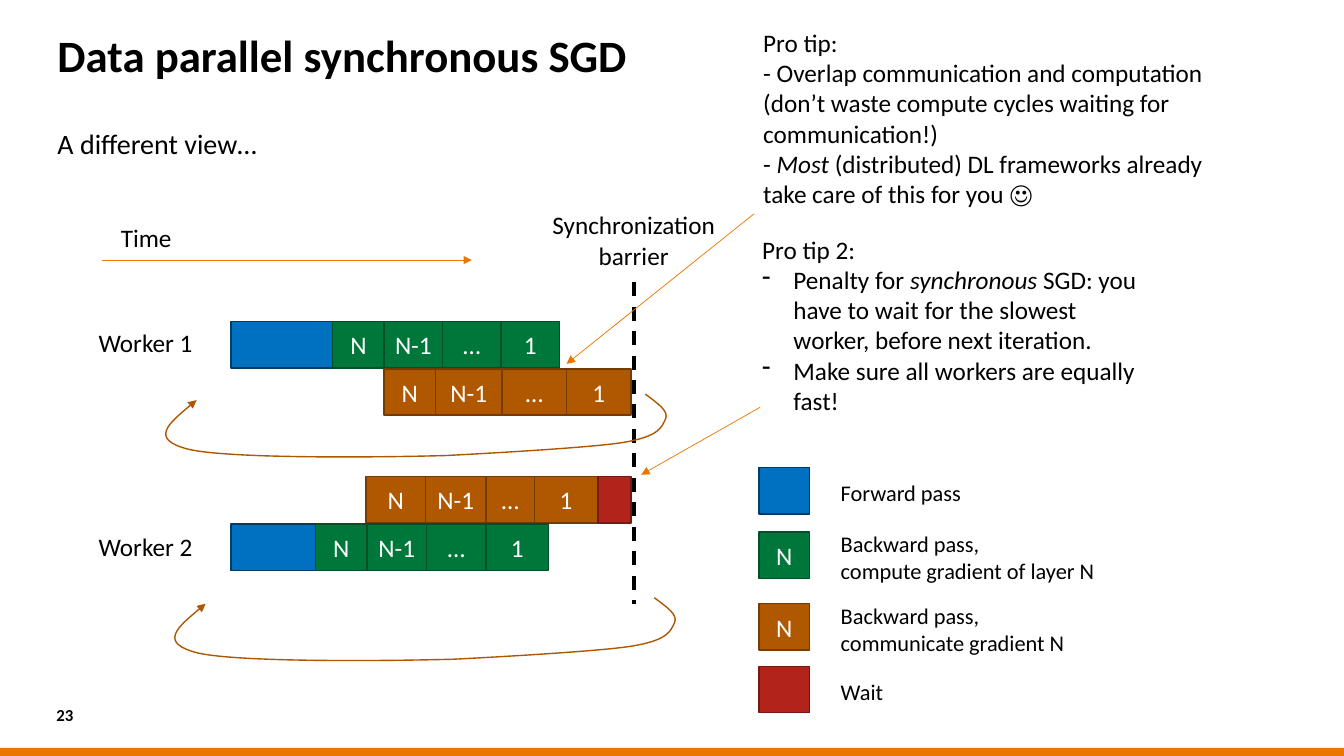
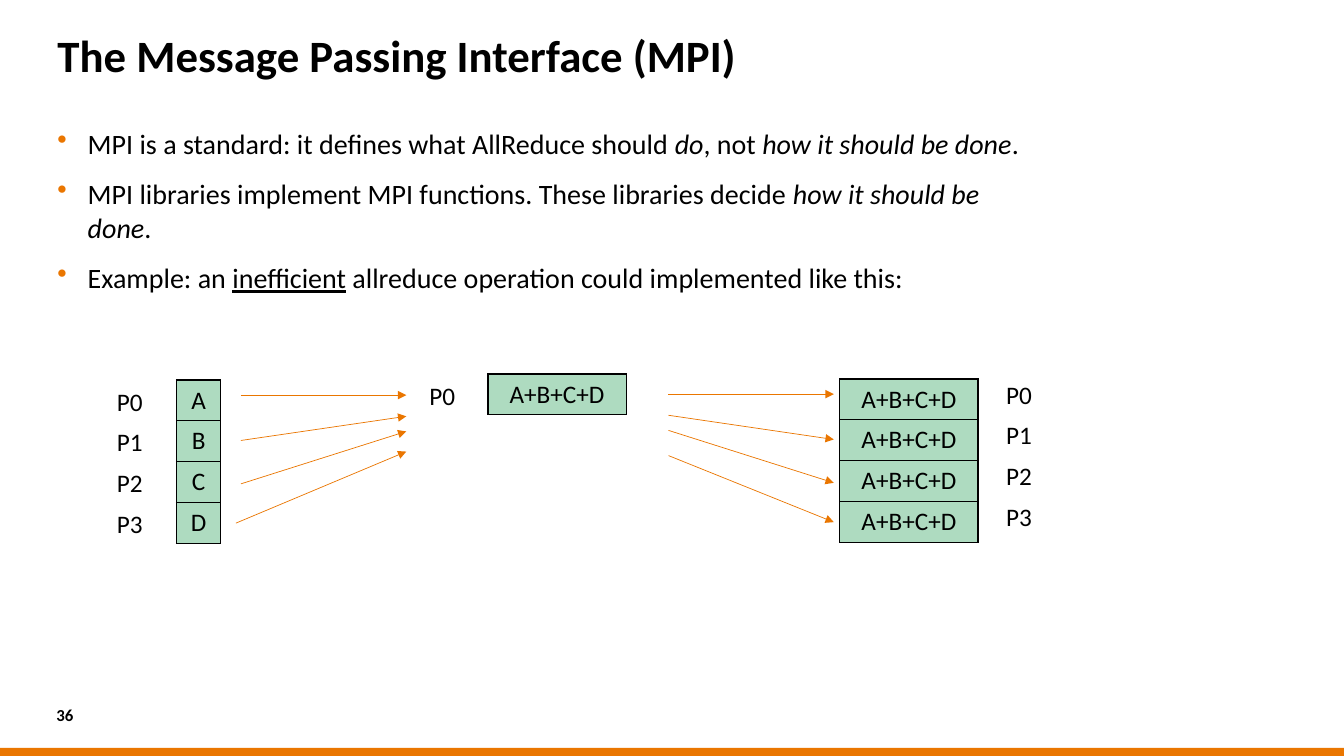
from itertools import accumulate

from lxml.etree import SubElement
from pptx import Presentation
from pptx.dml.color import RGBColor
from pptx.enum.dml import MSO_LINE_DASH_STYLE as Dash
from pptx.enum.shapes import MSO_CONNECTOR as Connector, MSO_SHAPE as Shape
from pptx.enum.text import MSO_ANCHOR as Anchor, MSO_AUTO_SIZE as AutoSize, PP_ALIGN as Align
from pptx.oxml.ns import qn
from pptx.util import Inches, Pt

FONT = "Calibri"
BLACK, WHITE, ORANGE = "000000", "FFFFFF", "EA7600"
CURVE_COLOR, CELL_COLOR = "AD5700", "AEDBC0"
FORWARD = ("0070C0", "003B64")
COMPUTE = ("00773A", "005027")
COMMUNICATE = ("B05800", "753B00")
WAIT = ("B2241B", "771812")
BLOCK_HEIGHT = 0.46
ROW_HEIGHT = 0.405
ITALIC, UNDERLINE = {"italic": True}, {"underline": True}
BODY = {"size": 20, "space_before": Pt(6), "space_after": Pt(6)}
BODY_BOX = (0.57, 1.25, 9.81, 5.15)
NO_INSETS = (0, 0, 0, 0)
LAYERS = ["N", "N-1", "…", "1"]
RETURN_CURVE = [
    (6.4, 3.91), (6.52, 4), (6.64, 4.08), (6.6, 4.16),
    (6.56, 4.24), (6.54, 4.33), (6.18, 4.39),
    (5.82, 4.45), (4.42, 4.52), (4.42, 4.52),
    (3.7, 4.54), (2.29, 4.55), (1.88, 4.46),
    (1.47, 4.36), (1.71, 4.17), (1.95, 3.97),
]


def rgb(color):
    return RGBColor.from_string(color)


def set_format(target, values):
    for name, value in values.items():
        setattr(target, name, value)


def set_line(line, color, width):
    line.color.rgb = rgb(color)
    line.width = Pt(width)


def set_arrowhead(shape):
    SubElement(shape.get_or_add_ln(), qn("a:tailEnd"), type="triangle")


def set_insets(frame, insets):
    names = ("margin_left", "margin_top", "margin_right", "margin_bottom")
    set_format(frame, dict(zip(names, map(Inches, insets))))


def set_bullet(paragraph, character, indent, color):
    properties = paragraph._p.get_or_add_pPr()
    properties.set("marL", str(Inches(indent)))
    properties.set("indent", str(-Inches(indent)))
    SubElement(SubElement(properties, qn("a:buClr")), qn("a:srgbClr"), val=color)
    SubElement(properties, qn("a:buChar"), char=character)


def write_text(frame, paragraphs, size=18, color=BLACK, bold=False, bullet=None, **layout):
    for index, pieces in enumerate(paragraphs):
        paragraph = frame.paragraphs[0] if index == 0 else frame.add_paragraph()
        set_format(paragraph, layout)
        bulleted = isinstance(pieces, list)
        if bulleted and bullet:
            set_bullet(paragraph, *bullet)
        for piece in pieces if bulleted else [pieces]:
            text, style = piece if isinstance(piece, tuple) else (piece, {})
            run = paragraph.add_run()
            run.text = text
            set_format(run.font, {"name": FONT, "size": Pt(size), "bold": bold, **style})
            run.font.color.rgb = rgb(color)


def add_text(slide, box, paragraphs, insets=(0.1, 0.05, 0.1, 0.05), wrap=True,
             anchor=Anchor.TOP, **text_format):
    frame = slide.shapes.add_textbox(*map(Inches, box)).text_frame
    set_format(frame, {"word_wrap": wrap, "vertical_anchor": anchor,
                       "auto_size": AutoSize.NONE})
    set_insets(frame, insets)
    write_text(frame, paragraphs, **text_format)


def add_label(slide, box, *lines, **text_format):
    add_text(slide, box, lines, wrap=False, **text_format)


def add_block(slide, box, colors, text=""):
    fill, outline = colors
    block = slide.shapes.add_shape(Shape.RECTANGLE, *map(Inches, box))
    block.shadow.inherit = False
    block.fill.solid()
    block.fill.fore_color.rgb = rgb(fill)
    if outline:
        set_line(block.line, outline, 1)
    else:
        block.line.fill.background()
    if text:
        frame = block.text_frame
        set_format(frame, {"word_wrap": False, "vertical_anchor": Anchor.MIDDLE})
        set_insets(frame, NO_INSETS)
        write_text(frame, [text], color=WHITE, alignment=Align.CENTER)


def add_line(slide, start, end, color=ORANGE, width=0.5):
    connector = slide.shapes.add_connector(Connector.STRAIGHT, *map(Inches, start + end))
    SubElement(connector._element.spPr, qn("a:effectLst"))
    set_line(connector.line, color, width)
    return connector


def add_arrow(slide, start, end):
    set_arrowhead(add_line(slide, start, end))


def add_return_curve(slide, across=0, down=0):
    points = [(Inches(x + across), Inches(y + down)) for x, y in RETURN_CURVE]
    builder = slide.shapes.build_freeform(*points[0])
    builder.add_line_segments(points[1:], close=False)
    curve = builder.convert_to_shape()
    curve.shadow.inherit = False
    curve.fill.background()
    set_line(curve.line, CURVE_COLOR, 1)
    set_arrowhead(curve)
    outline = next(curve._element.iter(qn("a:path")))
    segments = outline.findall(qn("a:lnTo"))
    for first in range(0, len(segments), 3):
        bezier = SubElement(outline, qn("a:cubicBezTo"))
        for segment in segments[first:first + 3]:
            bezier.append(segment[0])
            outline.remove(segment)


def add_timeline(slide, left, top, blocks):
    edges = accumulate((width for width, _, _ in blocks), initial=left)
    for edge, (width, colors, text) in zip(edges, blocks):
        add_block(slide, (edge, top, width, BLOCK_HEIGHT), colors, text)


def layer_blocks(widths, colors):
    return [(width, colors, text) for width, text in zip(widths, LAYERS)]


def add_legend_entry(slide, top, colors, text, lines):
    add_block(slide, (7.53, top, 0.5, BLOCK_HEIGHT), colors, text)
    add_label(slide, (8.24, top - 0.07, 2.75, 0.64), *lines, size=16, anchor=Anchor.MIDDLE)


def set_cell_borders(cell):
    properties = cell._tc.get_or_add_tcPr()
    for position, side in enumerate(("a:lnL", "a:lnR", "a:lnT", "a:lnB")):
        border = properties.makeelement(qn(side), {"w": str(Pt(1))})
        SubElement(SubElement(border, qn("a:solidFill")), qn("a:srgbClr"), val=BLACK)
        properties.insert(position, border)


def add_buffer_table(slide, left, top, width, values):
    frame = slide.shapes.add_table(len(values), 1, Inches(left), Inches(top),
                                   Inches(width), Inches(ROW_HEIGHT * len(values)))
    table = frame.table
    set_format(table, {"first_row": False, "horz_banding": False})
    for row, value in enumerate(values):
        table.rows[row].height = Inches(ROW_HEIGHT)
        cell = table.cell(row, 0)
        cell.fill.solid()
        cell.fill.fore_color.rgb = rgb(CELL_COLOR)
        set_insets(cell, (0, 0.05, 0, 0))
        set_cell_borders(cell)
        write_text(cell.text_frame, [value], alignment=Align.CENTER)


def add_process_labels(slide, left, top, count):
    for index in range(count):
        add_label(slide, (left, top + index * ROW_HEIGHT, 0.51, 0.4), f"P{index}")


def add_base_slide(presentation, title, number):
    slide = presentation.slides.add_slide(presentation.slide_layouts[6])
    add_block(slide, (0, 7.42, 13.33, 0.08), (ORANGE, None))
    add_text(slide, (0.57, 0.3, 12.19, 0.66), [title], insets=(0, 0.08, 0, 0),
             size=32, bold=True, line_spacing=0.8)
    add_text(slide, (0.56, 6.97, 0.43, 0.24), [number], insets=NO_INSETS,
             anchor=Anchor.MIDDLE, size=12, bold=True)
    return slide


def build_sgd_slide(presentation):
    slide = add_base_slide(presentation, "Data parallel synchronous SGD", "23")
    add_text(slide, BODY_BOX, ["A different view…"], insets=NO_INSETS, **BODY)

    add_label(slide, (1.1, 2.16, 0.71, 0.4), "Time")
    add_arrow(slide, (1.01, 2.58), (4.68, 2.58))
    add_label(slide, (5.37, 2.03, 1.83, 0.71), "Synchronization", "barrier",
              alignment=Align.CENTER)
    barrier = add_line(slide, (6.29, 2.8), (6.29, 5.99), BLACK, 2.5)
    barrier.line.dash_style = Dash.DASH

    add_label(slide, (0.88, 3.2, 1.14, 0.4), "Worker 1")
    add_return_curve(slide)
    add_timeline(slide, 2.29, 3.19, [(1.01, FORWARD, "")]
                 + layer_blocks([0.51, 0.58, 0.58, 0.58], COMPUTE))
    add_timeline(slide, 3.81, 3.66, layer_blocks([0.51, 0.66, 0.64, 0.64], COMMUNICATE))

    add_label(slide, (0.88, 5.22, 1.14, 0.4), "Worker 2")
    add_return_curve(slide, 0.09, 2.02)
    add_timeline(slide, 3.63, 4.73, layer_blocks([0.59, 0.6, 0.48, 0.63], COMMUNICATE)
                 + [(0.33, WAIT, "")])
    add_timeline(slide, 2.29, 5.2, [(0.84, FORWARD, "")]
                 + layer_blocks([0.51, 0.59, 0.59, 0.62], COMPUTE))

    for entry in [
        (4.64, FORWARD, "", ["Forward pass"]),
        (5.28, COMPUTE, "N", ["Backward pass,", "compute gradient of layer N"]),
        (5.99, COMMUNICATE, "N", ["Backward pass,", "communicate gradient N"]),
        (6.61, WAIT, "", ["Wait"]),
    ]:
        add_legend_entry(slide, *entry)

    add_text(slide, (7.57, 0.27, 4.84, 1.82), [
        "Pro tip:",
        "- Overlap communication and computation (don’t waste compute cycles "
        "waiting for communication!)",
        ["- ", ("Most ", ITALIC),
         "(distributed) DL frameworks already take care of this for you ☺"],
    ], insets=NO_INSETS)
    add_arrow(slide, (7.48, 2.12), (5.62, 3.61))
    add_text(slide, (7.56, 2.32, 3.91, 1.82), [
        "Pro tip 2:",
        ["Penalty for ", ("synchronous", ITALIC),
         " SGD: you have to wait for the slowest worker, before next iteration."],
        ["Make sure all workers are equally fast!"],
    ], insets=NO_INSETS, bullet=("-", 0.31, BLACK))
    add_arrow(slide, (7.54, 4.04), (6.36, 4.71))


def build_mpi_slide(presentation):
    slide = add_base_slide(presentation, "The Message Passing Interface (MPI)", "36")
    add_text(slide, BODY_BOX, [
        ["MPI is a standard: it defines what AllReduce should ", ("do", ITALIC), ", not ",
         ("how it should be done", ITALIC), "."],
        ["MPI libraries implement MPI functions. These libraries decide ",
         ("how it should be done", ITALIC), "."],
        ["Example: an ", ("inefficient", UNDERLINE),
         " allreduce operation could implemented like this:"],
    ], insets=NO_INSETS, bullet=("•", 0.3, ORANGE), **BODY)

    total = "A+B+C+D"
    add_process_labels(slide, 1.06, 3.78, 4)
    add_buffer_table(slide, 1.75, 3.77, 0.44, list("ABCD"))
    add_process_labels(slide, 4.16, 3.72, 1)
    add_buffer_table(slide, 4.84, 3.71, 1.37, [total])
    add_buffer_table(slide, 8.33, 3.76, 1.37, [total] * 4)
    add_process_labels(slide, 9.88, 3.71, 4)

    for left, start, end in [(2.39, 3.92, 3.92), (2.39, 4.37, 4.13),
                             (2.39, 4.8, 4.28), (2.34, 5.19, 4.48)]:
        add_arrow(slide, (left, start), (4.03, end))
    for start, end in [(3.91, 3.91), (4.12, 4.36), (4.27, 4.79), (4.52, 5.18)]:
        add_arrow(slide, (6.63, start), (8.27, end))


def main():
    presentation = Presentation()
    set_format(presentation, {"slide_width": Inches(13.33), "slide_height": Inches(7.5)})
    build_sgd_slide(presentation)
    build_mpi_slide(presentation)
    presentation.save("out.pptx")


if __name__ == "__main__":
    main()
